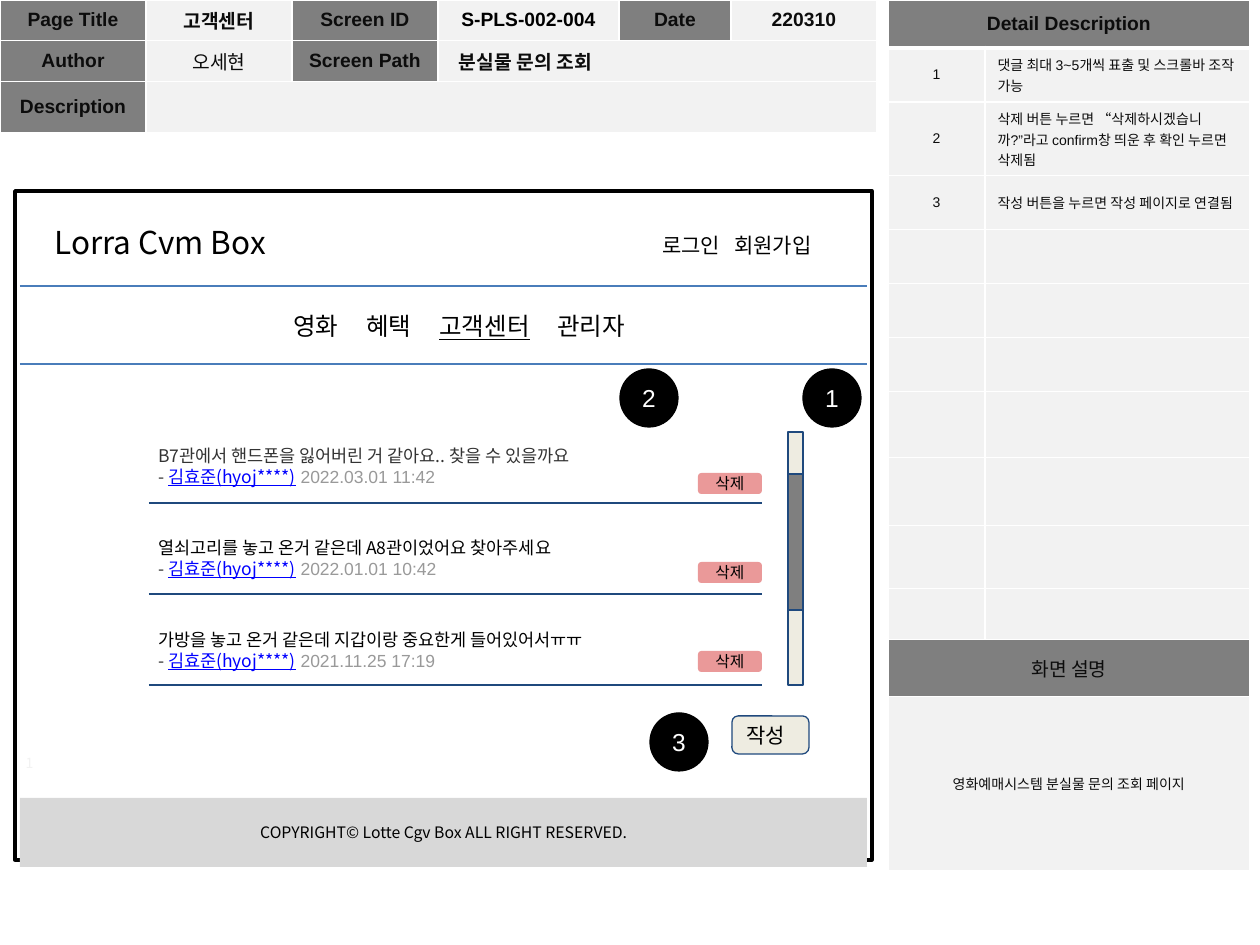
import pptx
import pptx.util
import pptx.dml.color
import pptx.enum.shapes
import pptx.enum.text
import pptx.oxml
import pptx.oxml.ns
from lxml import etree

PX = 7257
ARIAL, NOTO = "Arial", "Noto Sans CJK KR"
GREY, PALE, INK, BLACK, NAVY, CREAM = "7F7F7F", "F2F2F2", "0C0C0C", "000000", "1F497D", "EEECE1"
rgb = pptx.dml.color.RGBColor.from_string
Pt = pptx.util.Pt
Kind = pptx.enum.shapes.MSO_SHAPE
Align = pptx.enum.text.PP_ALIGN
Middle = pptx.enum.text.MSO_ANCHOR.MIDDLE
qn = pptx.oxml.ns.qn

deck = pptx.Presentation()
deck.slide_width, deck.slide_height = pptx.util.Inches(10), pptx.util.Inches(7.5)
slide = deck.slides.add_slide(deck.slide_layouts[6])
shapes = slide.shapes


def write(para, text, size, hue=BLACK, name=NOTO, align=Align.CENTER, bold=False, tabs=()):
    para.alignment = align
    if tabs:
        stops = etree.SubElement(para._p.get_or_add_pPr(), qn("a:tabLst"))
        for stop in tabs:
            etree.SubElement(stops, qn("a:tab"), pos=str(stop * PX), algn="l")
    font = para.font
    font.size, font.name, font.bold = Pt(size), name, bold
    font.color.rgb = rgb(hue)
    for i, part in enumerate(text.split("\t")):
        if i:
            para.add_run().text = "\t"
        para.add_run().text = part


def draw(kind, box, fill=None, line=None, width=0.75):
    box = [n * PX for n in box]
    if kind is None:
        shape = shapes.add_textbox(*box)
    else:
        shape = shapes.add_shape(kind, *box)
        shape.shadow.inherit = False
        shape.text_frame.vertical_anchor = Middle
        if fill:
            shape.fill.solid()
            shape.fill.fore_color.rgb = rgb(fill)
        else:
            shape.fill.background()
        if line:
            shape.line.color.rgb = rgb(line)
            shape.line.width = Pt(width)
        else:
            shape.line.fill.background()
    shape.text_frame.word_wrap = True
    return shape


info = [
    ["Page Title", "고객센터", "Screen ID", "S-PLS-002-004", "Date", "220310"],
    ["Author", "오세현", "Screen Path", "분실물 문의 조회", "", ""],
    ["Description", "", "", "", "", ""],
]
notes = [
    ["Detail Description", ""],
    ["1", "댓글 최대 3~5개씩 표출 및 스크롤바 조작 가능"],
    ["2", "삭제 버튼 누르면 “삭제하시겠습니까?”라고 confirm창 띄운 후 확인 누르면 삭제됨"],
    ["3", "작성 버튼을 누르면 작성 페이지로 연결됨"],
    *[["", ""] for _ in range(7)],
    ["화면 설명", ""],
    ["영화예매시스템 분실물 문의 조회 페이지", ""],
]
tables = [
    (0, info, [146, 146, 146, 181, 112, 146], [40, 41, 40], [(1, 3, 5), (2, 1, 5)]),
    (888, notes, [97, 265], [48] + [54] * 6 + [66, 68, 63, 45, 57, 174],
     [(0, 0, 1), (11, 0, 1), (12, 0, 1)]),
]
for left, data, cols, rows, spans in tables:
    frame = shapes.add_table(len(rows), len(cols), left * PX, 0, sum(cols) * PX, sum(rows) * PX)
    grid = frame.table
    for c, size in enumerate(cols):
        grid.columns[c].width = size * PX
    for r, size in enumerate(rows):
        grid.rows[r].height = size * PX
    for r, first, last in spans:
        grid.cell(r, first).merge(grid.cell(r, last))
    for r, row in enumerate(data):
        for c, text in enumerate(row):
            cell = grid.cell(r, c)
            cell.vertical_anchor = Middle
            for side in "B" if data is info and r == 0 else "LRTB":
                thick = 3 if data is notes and r == 0 and side == "B" else 1
                edge = etree.SubElement(cell._tc.get_or_add_tcPr(), qn("a:ln" + side), w=str(Pt(thick)))
                paint = etree.SubElement(edge, qn("a:solidFill"))
                etree.SubElement(paint, qn("a:srgbClr"), val="FFFFFF")
            if data is info:
                head = c in (0, 2, 4) and not (r and c == 4) and not (r == 2 and c == 2)
                large, bold = True, text != "오세현"
                align = Align.LEFT if (r, c) == (1, 3) else Align.CENTER
            else:
                head = large = r in (0, 11)
                bold = r == 0
                align = Align.LEFT if c else Align.CENTER
            cell.fill.solid()
            cell.fill.fore_color.rgb = rgb(GREY if head else PALE)
            if text:
                hue = BLACK if text.startswith("S-PLS") else INK
                write(cell.text_frame.paragraphs[0], text, 11 if large else 8, hue, ARIAL, align, bold)
grid = shapes[0].table
grid.cell(1, 3).margin_left = 21 * PX

draw(Kind.RECTANGLE, (15, 191, 857, 669), line=BLACK, width=2)
labels = [
    ((3, 748, 53, 30), "1", 8, PALE, Align.CENTER, ()),
    ((42, 217, 320, 50), "Lorra Cvm Box", 18, BLACK, Align.LEFT, ()),
    ((650, 226, 197, 38), "로그인\t회원가입", 12, BLACK, Align.LEFT, (72,)),
    ((281, 305, 393, 43), "영화\t혜택\t고객센터\t관리자", 14, BLACK, Align.LEFT, (73, 146, 264)),
]
for box, text, size, hue, align, tabs in labels:
    para = draw(None, box).text_frame.paragraphs[0]
    write(para, text, size, hue, align=align, tabs=tabs)
    for run in para.runs:
        if run.text == "고객센터":
            run.font.underline = True

foot = draw(Kind.RECTANGLE, (20, 798, 847, 69), "D8D8D8")
write(foot.text_frame.paragraphs[0], "COPYRIGHT© Lotte Cgv Box ALL RIGHT RESERVED.", 9)

rules = [(20, 867, y, "4A7DBA") for y in (286, 364)]
rules += [(149, 762, y, NAVY) for y in (503, 594, 685)]
for x, end, y, hue in rules:
    rule = shapes.add_connector(pptx.enum.shapes.MSO_CONNECTOR.STRAIGHT, x * PX, y * PX, end * PX, y * PX)
    rule.line.color.rgb = rgb(hue)
    rule.line.width = Pt(0.75)
    etree.SubElement(rule._element.spPr, qn("a:effectLst"))

posts = [
    ("B7관에서 핸드폰을 잃어버린 거 같아요.. 찾을 수 있을까요", "2022.03.01 11:42", "333333"),
    ("열쇠고리를 놓고 온거 같은데 A8관이었어요 찾아주세요", "2022.01.01 10:42", BLACK),
    ("가방을 놓고 온거 같은데 지갑이랑 중요한게 들어있어서ㅠㅠ", "2021.11.25 17:19", BLACK),
]
for i, (text, date, hue) in enumerate(posts):
    body = draw(None, (146, 432 + 92 * i, 974, 68)).text_frame
    body.margin_top = body.margin_bottom = pptx.util.Inches(0.1)
    write(body.paragraphs[0], text, 10, hue, align=Align.LEFT)
    para = body.add_paragraph()
    write(para, "- ", 10, "333333", align=Align.LEFT)
    user, time = para.add_run(), para.add_run()
    user.text, time.text = "김효준(hyoj****)", " " + date
    user.font.underline = True
    user.font.color.rgb = rgb("0000FF")
    time.font.name = ARIAL
    time.font.color.rgb = rgb("999999")
    erase = draw(Kind.ROUNDED_RECTANGLE, (698, 473 + 89 * i, 64, 21), "EA9999")
    write(erase.text_frame.paragraphs[0], "삭제", 9, name=ARIAL)

draw(Kind.RECTANGLE, (788, 432, 15, 253), CREAM, NAVY)
draw(Kind.RECTANGLE, (788, 474, 15, 136), GREY, NAVY)
post = draw(Kind.ROUNDED_RECTANGLE, (732, 716, 77, 38), CREAM, NAVY)
write(post.text_frame.paragraphs[0], "작성", 12, name=ARIAL, align=Align.LEFT)

for num, x, y in (("1", 803, 369), ("2", 620, 369), ("3", 650, 713)):
    dot = draw(Kind.OVAL, (x, y, 58, 58), BLACK, BLACK)
    write(dot.text_frame.paragraphs[0], num, 14, "FFFFFF", ARIAL)

deck.save("out.pptx")
